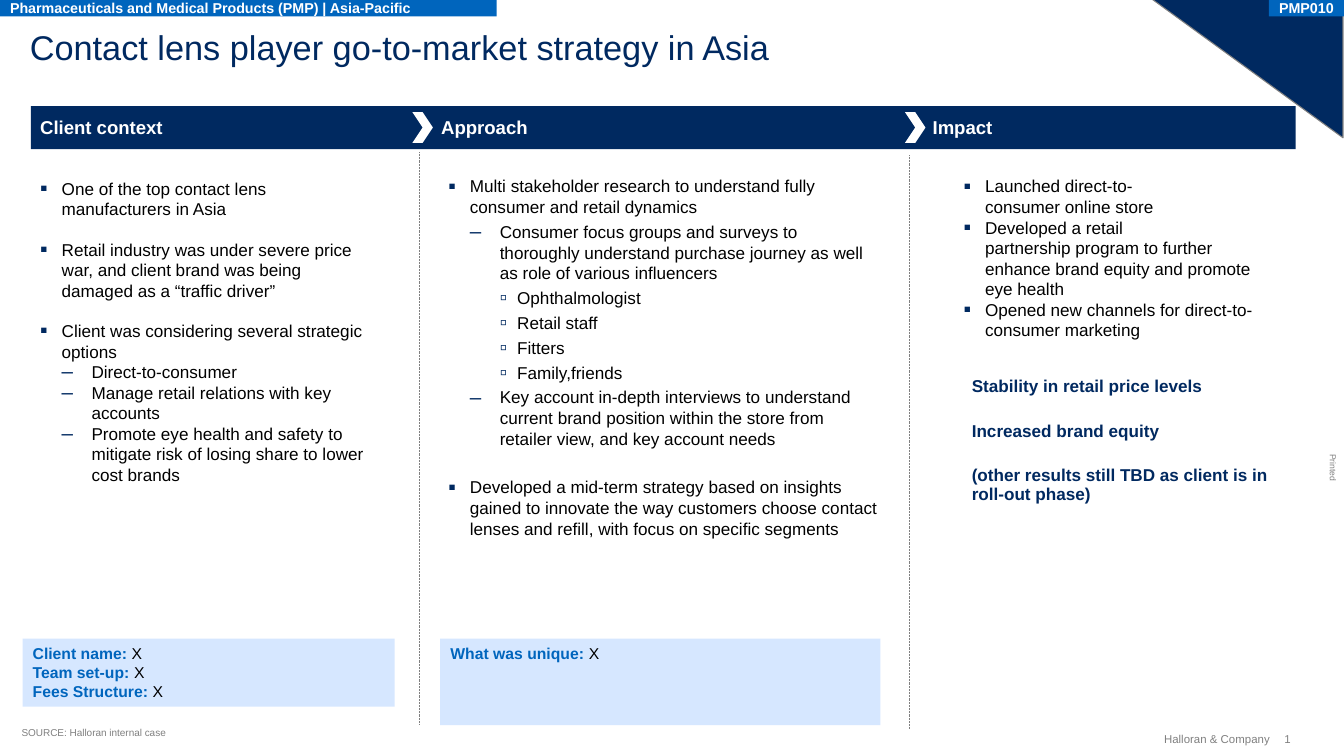
from lxml import etree
from pptx import Presentation
from pptx.dml.color import RGBColor
from pptx.enum.dml import MSO_LINE
from pptx.enum.shapes import MSO_CONNECTOR, MSO_SHAPE
from pptx.enum.text import MSO_ANCHOR, MSO_AUTO_SIZE, PP_ALIGN
from pptx.oxml.ns import qn
from pptx.util import Pt

NAVY = RGBColor(0x00, 0x29, 0x60)
BLUE = RGBColor(0x00, 0x65, 0xBD)
PALE_BLUE = RGBColor(0xD6, 0xE7, 0xFF)
GRAY = RGBColor(0x80, 0x80, 0x80)
BLACK = RGBColor(0, 0, 0)
WHITE = RGBColor(0xFF, 0xFF, 0xFF)

RECTANGLE = MSO_SHAPE.RECTANGLE
TRIANGLE = MSO_SHAPE.ISOSCELES_TRIANGLE
CHEVRON = MSO_SHAPE.CHEVRON
TOP, MIDDLE, BOTTOM = MSO_ANCHOR.TOP, MSO_ANCHOR.MIDDLE, MSO_ANCHOR.BOTTOM
LEFT, RIGHT = PP_ALIGN.LEFT, PP_ALIGN.RIGHT
NO_AUTOSIZE = MSO_AUTO_SIZE.NONE
DOTTED = MSO_LINE.ROUND_DOT
STRAIGHT = MSO_CONNECTOR.STRAIGHT

FONT = "Arial"
LIST_SIZE = 12
BLANK_LINE = 13.8
BULLETS = [("▪", 125, 15.1, 15.1), ("–", 120, 36, 20.9), ("▫", 120, 48.2, 12.2)]

CONTEXT = [
    (0, "One of the top contact lens manufacturers in Asia", 0),
    (0, "Retail industry was under severe price war, and client brand was being "
        "damaged as a “traffic driver”", BLANK_LINE),
    (0, "Client was considering several strategic options", BLANK_LINE),
    (1, "Direct-to-consumer", 0),
    (1, "Manage retail relations with key accounts", 0),
    (1, "Promote eye health and safety to mitigate risk of losing share to lower "
        "cost brands", 0),
]
APPROACH = [
    (0, "Multi stakeholder research to understand fully consumer and retail dynamics", 0),
    (1, "Consumer focus groups and surveys to thoroughly understand purchase journey "
        "as well as role of various influencers", 0),
    (2, "Ophthalmologist", 0),
    (2, "Retail staff", 0),
    (2, "Fitters", 0),
    (2, "Family,friends", 0),
    (1, "Key account in-depth interviews to understand current brand position within "
        "the store from retailer view, and key account needs", 0),
    (0, "Developed a mid-term strategy based on insights gained to innovate the way "
        "customers choose contact lenses and refill, with focus on specific segments",
     BLANK_LINE + 3),
]
IMPACT = [
    (0, "Launched direct-to-\nconsumer online store", 0),
    (0, "Developed a retail \npartnership program to further enhance brand equity "
        "and promote \neye health", 0),
    (0, "Opened new channels for direct-to-consumer marketing", 0),
]
RESULTS = [
    "Stability in retail price levels",
    "Increased brand equity",
    "(other results still TBD as client is in roll-out phase)",
]


def place(shape, left, top, width, height):
    shape.left, shape.top = Pt(left), Pt(top)
    shape.width, shape.height = Pt(width), Pt(height)


def set_frame(frame, margins=(0, 0, 0, 0), anchor=TOP, wrap=True):
    frame.auto_size = NO_AUTOSIZE
    frame.word_wrap = wrap
    frame.vertical_anchor = anchor
    frame.margin_left, frame.margin_top, frame.margin_right, frame.margin_bottom = map(Pt, margins)


def format_run(run, size, color, bold=False):
    run.font.name = FONT
    run.font.size = Pt(size)
    run.font.bold = bold
    run.font.color.rgb = color


def write(frame, text, size, color, bold=False, align=LEFT):
    frame.text = text
    paragraph = frame.paragraphs[0]
    paragraph.alignment = align
    format_run(paragraph.runs[0], size, color, bold)


def add_label(slide, box, text, size, color, bold=False, align=LEFT, anchor=MIDDLE, wrap=True):
    label = slide.shapes.add_textbox(*map(Pt, box))
    set_frame(label.text_frame, anchor=anchor, wrap=wrap)
    write(label.text_frame, text, size, color, bold, align)
    return label


def add_block(slide, kind, box, color):
    block = slide.shapes.add_shape(kind, *map(Pt, box))
    block.shadow.inherit = False
    block.fill.solid()
    block.fill.fore_color.rgb = color
    block.line.fill.background()
    return block


def add_tag(slide, box, text):
    tag = add_block(slide, RECTANGLE, box, BLUE)
    set_frame(tag.text_frame, (7.2, 3.6, 7.2, 3.6), MIDDLE, wrap=False)
    write(tag.text_frame, text, 10, WHITE, bold=True)


def add_corner(slide):
    corner = add_block(slide, TRIANGLE, (806.4, -0.7, 133.9, 97.2), NAVY)
    corner.adjustments[0] = 1
    corner.line.color.rgb = GRAY
    corner.line.width = Pt(0.75)
    corner._element.spPr.find(qn("a:xfrm")).set("flipV", "1")


def add_divider(slide, x, top, bottom):
    divider = slide.shapes.add_connector(STRAIGHT, Pt(x), Pt(top), Pt(x), Pt(bottom))
    divider.line.color.rgb = GRAY
    divider.line.width = Pt(0.5)
    divider.line.dash_style = DOTTED
    etree.SubElement(divider._element.spPr, qn("a:effectLst"))


def add_fact_box(slide, box, labels):
    facts = add_block(slide, RECTANGLE, box, PALE_BLUE)
    frame = facts.text_frame
    set_frame(frame, (7.2, 3.6, 7.2, 3.6))
    for index, label in enumerate(labels):
        paragraph = frame.add_paragraph() if index else frame.paragraphs[0]
        paragraph.alignment = LEFT
        for text, color, bold in ((label + ": ", BLUE, True), ("X", BLACK, False)):
            run = paragraph.add_run()
            run.text = text
            format_run(run, 11, color, bold)


def set_bullet(paragraph, level):
    symbol, percent, margin, hanging = BULLETS[level]
    properties = paragraph._p.get_or_add_pPr()
    properties.set("marL", str(Pt(margin)))
    properties.set("indent", str(-Pt(hanging)))
    bullet_color = etree.SubElement(properties, qn("a:buClr"))
    etree.SubElement(bullet_color, qn("a:srgbClr"), val=str(NAVY))
    etree.SubElement(properties, qn("a:buSzPct"), val=str(percent * 1000))
    etree.SubElement(properties, qn("a:buFont"), typeface=FONT)
    etree.SubElement(properties, qn("a:buChar"), char=symbol)


def fill_list(body, box, items, space_after=0):
    place(body, *box)
    frame = body.text_frame
    set_frame(frame)
    for index, (level, text, space_before) in enumerate(items):
        paragraph = frame.add_paragraph() if index else frame.paragraphs[0]
        paragraph.text = text
        paragraph.level = level
        paragraph.space_before = Pt(space_before)
        paragraph.space_after = Pt(space_after)
        set_bullet(paragraph, level)
        for run in paragraph.runs:
            format_run(run, LIST_SIZE, BLACK)
        for line_break in paragraph._p.findall(qn("a:br")):
            etree.SubElement(line_break, qn("a:rPr"), sz=str(LIST_SIZE * 100))


def fill_results(body, box):
    place(body, *box)
    frame = body.text_frame
    set_frame(frame)
    for index, text in enumerate(RESULTS):
        paragraph = frame.add_paragraph() if index else frame.paragraphs[0]
        paragraph.text = text
        paragraph.line_spacing = 0.9
        paragraph.space_before = Pt(0)
        paragraph.space_after = Pt(18.4)
        format_run(paragraph.runs[0], LIST_SIZE, NAVY, bold=True)


def main():
    deck = Presentation()
    deck.slide_width, deck.slide_height = Pt(941), Pt(529.2)
    slide = deck.slides.add_slide(deck.slide_layouts[4])
    bodies = slide.placeholders

    add_corner(slide)
    title = slide.shapes.title
    place(title, 20.9, 18, 679, 23)
    set_frame(title.text_frame)
    write(title.text_frame, "Contact lens player go-to-market strategy in Asia", 24, NAVY)

    add_tag(slide, (0, 0, 347.8, 11.5), "Pharmaceuticals and Medical Products (PMP) | Asia-Pacific")
    add_tag(slide, (888.5, 0, 52.5, 11.5), "PMP010")

    add_block(slide, RECTANGLE, (21.6, 74.2, 885.6, 30.2), NAVY)
    for heading, left in (("Client context", 28.1), ("Approach", 308.9), ("Impact", 653)):
        add_label(slide, (left, 80.6, 228, 16), heading, 13, WHITE, bold=True, anchor=BOTTOM)
    for left in (288.7, 633.6):
        add_block(slide, CHEVRON, (left, 78.5, 14.4, 21.6), WHITE)
    add_divider(slide, 293.8, 106.6, 507.6)
    add_divider(slide, 636.5, 108.7, 510.5)

    fill_list(bodies[2], (28.1, 124.6, 229, 218.2), CONTEXT)
    fill_list(bodies[4], (313.9, 123.1, 302.4, 257), APPROACH, space_after=3)
    fill_list(bodies[3], (674.6, 123.1, 219.6, 116.6), IMPACT)
    fill_results(bodies[1], (680.4, 264.2, 208.1, 90))

    add_fact_box(slide, (15.8, 447.1, 260.6, 47.5), ["Client name", "Team set-up", "Fees Structure"])
    add_fact_box(slide, (308.2, 447.1, 308.2, 60.5), ["What was unique"])

    add_label(slide, (15.1, 508.3, 540.7, 8.6), "SOURCE: Halloran internal case", 7, GRAY)
    add_label(slide, (809.3, 512.6, 79.9, 9.4), "Halloran & Company", 8, GRAY, align=RIGHT, wrap=False)
    add_label(slide, (899.3, 512.6, 10, 9.4), "1", 8, GRAY, wrap=False)
    printed = add_label(slide, (923.8, 324, 19.4, 7.2), "Printed", 6, GRAY, anchor=TOP, wrap=False)
    printed.rotation = 90

    deck.save("out.pptx")


if __name__ == "__main__":
    main()
